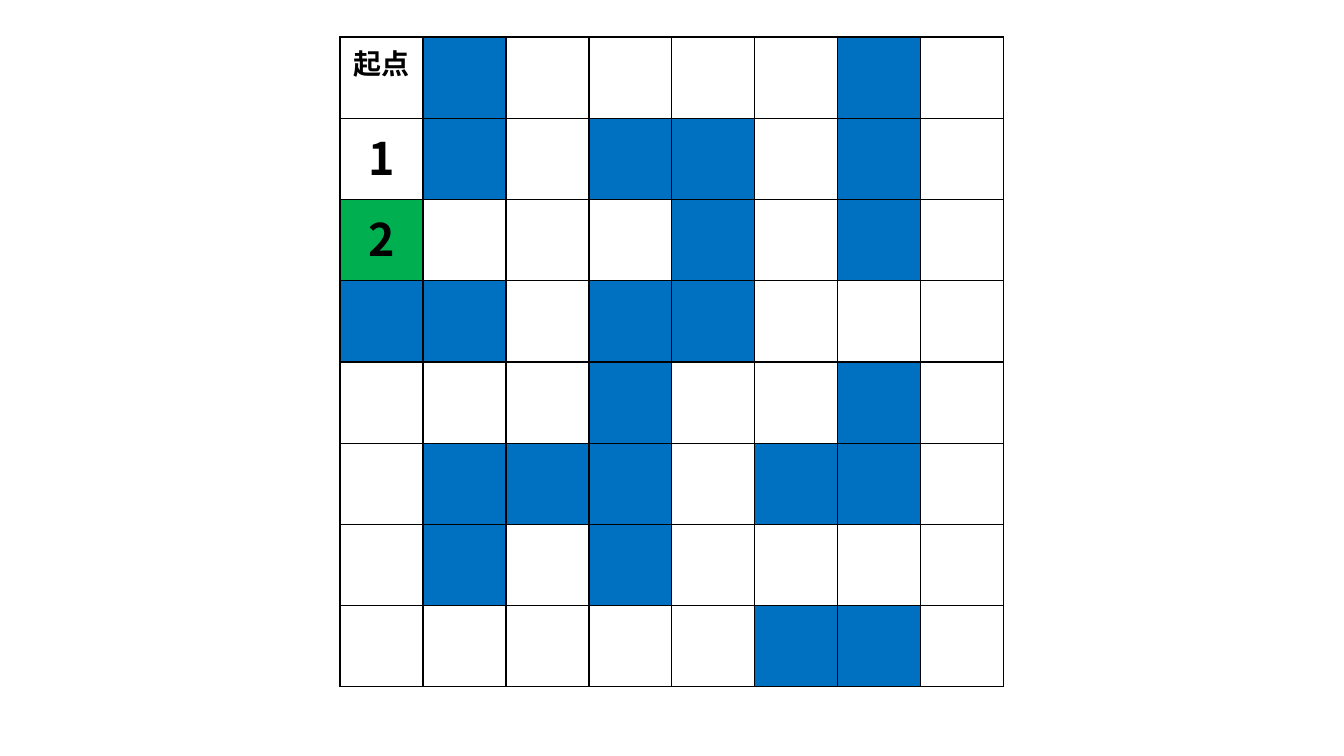
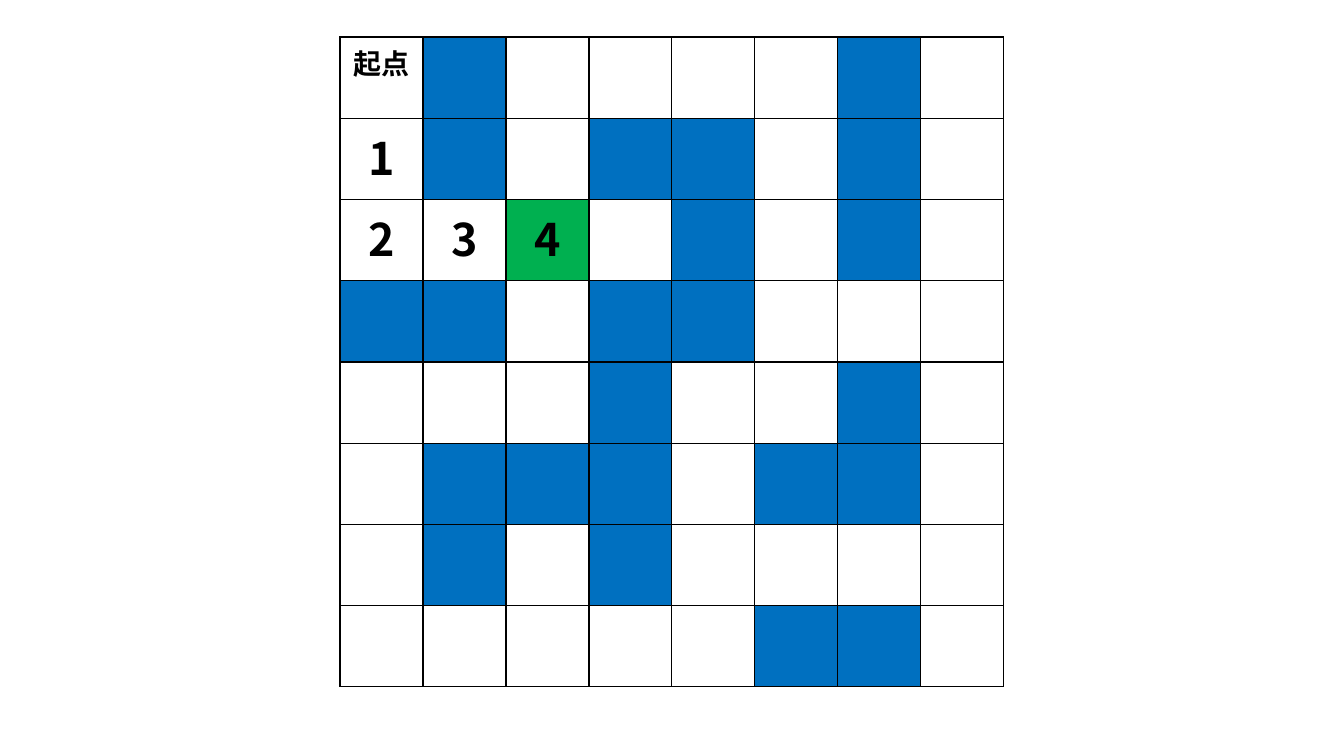
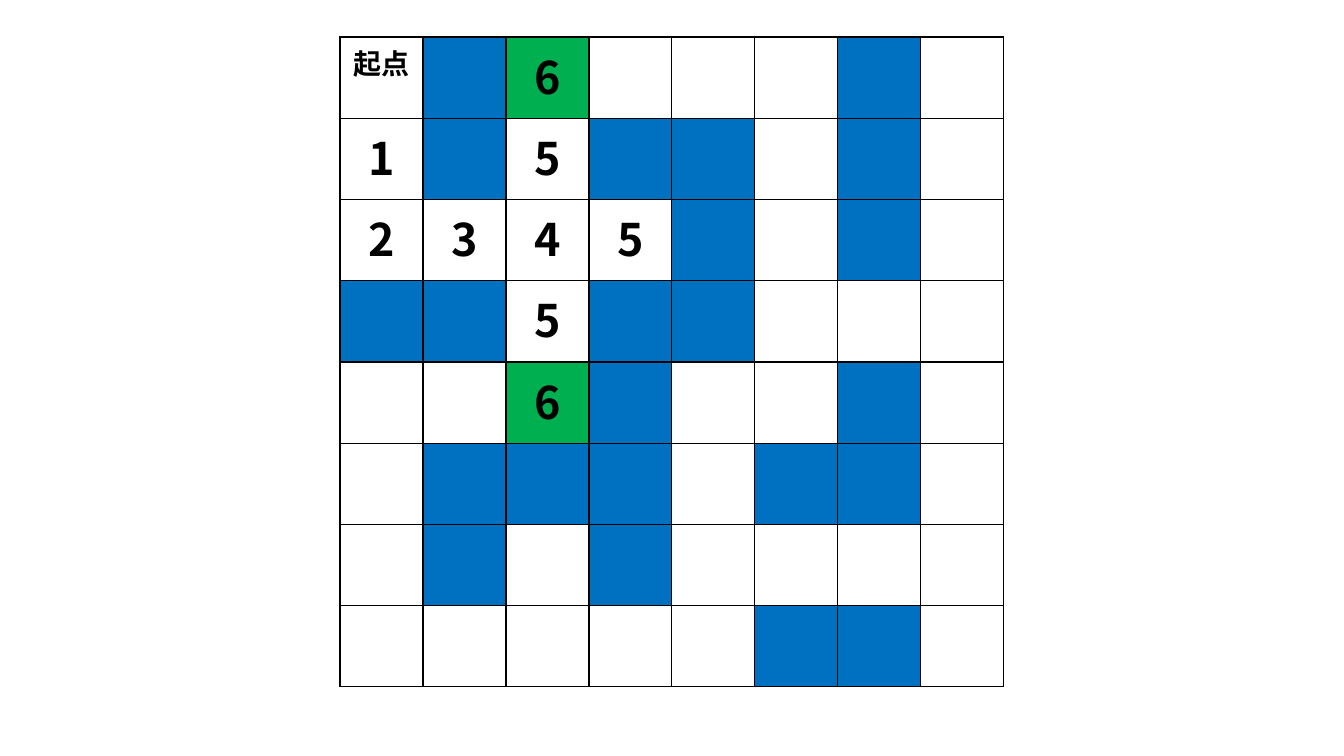
from lxml.etree import SubElement as Sub
from pptx import Presentation as Deck
from pptx.dml.color import RGBColor as Rgb
from pptx.enum.text import PP_ALIGN as Align
from pptx.oxml.ns import qn
from pptx.util import Emu, Pt

HUE = {"wall": "0070C0", "free": "FFFFFF", "front": "00B050", "ink": "000000"}
FONT = "Noto Sans CJK SC"
SCALE = 914400 / 100.8
MAZE = [
    ".#....#.",
    ".#.##.#.",
    "....#.#.",
    "##.##...",
    "...#..#.",
    ".###.##.",
    ".#.#....",
    ".....##.",
]
SIZE = len(MAZE)
BOX = (340, 37, 664, 650)
STAGES = (2, 4, 6)


def px(n):
    return Emu(round(n * SCALE))


def flood(last):
    steps = {(0, 0): 0}
    queue = [(0, 0)]
    for row, col in queue:
        step = steps[row, col] + 1
        if step > last:
            break
        for spot in ((row - 1, col), (row + 1, col), (row, col - 1), (row, col + 1)):
            inside = all(0 <= n < SIZE for n in spot)
            if inside and spot not in steps and MAZE[spot[0]][spot[1]] == ".":
                steps[spot] = step
                queue.append(spot)
    return steps


def border(cell):
    props = cell._tc.get_or_add_tcPr()
    for side in ("lnL", "lnR", "lnT", "lnB"):
        line = Sub(props, qn("a:" + side), w=str(Pt(1)))
        fill = Sub(line, qn("a:solidFill"))
        Sub(fill, qn("a:srgbClr"), val=HUE["ink"])


def paint(cell, hue):
    border(cell)
    cell.fill.solid()
    cell.fill.fore_color.rgb = Rgb.from_string(HUE[hue])


def label(cell, text, size):
    para = cell.text_frame.paragraphs[0]
    para.text = text
    para.alignment = Align.CENTER
    font = para.font
    font.name = FONT
    font.size = Pt(size)
    font.bold = True
    font.color.rgb = Rgb.from_string(HUE["ink"])
    Sub(font._element, qn("a:ea"), typeface=FONT)


def board(slide, box, last):
    left, top, width, height = map(px, box)
    table = slide.shapes.add_table(SIZE, SIZE, left, top, width, height).table
    table.first_row = table.horz_banding = False
    steps = flood(last)
    for row, marks in enumerate(MAZE):
        for col, mark in enumerate(marks):
            cell = table.cell(row, col)
            step = steps.get((row, col))
            hue = "wall" if mark == "#" else "front" if step == last else "free"
            paint(cell, hue)
            if step == 0:
                label(cell, "起点", 20)
            elif step:
                label(cell, str(step), 32)


def main():
    deck = Deck()
    deck.slide_width, deck.slide_height = px(1344), px(756)
    for last in STAGES:
        board(deck.slides.add_slide(deck.slide_layouts[6]), BOX, last)
    deck.save("out.pptx")


if __name__ == "__main__":
    main()
